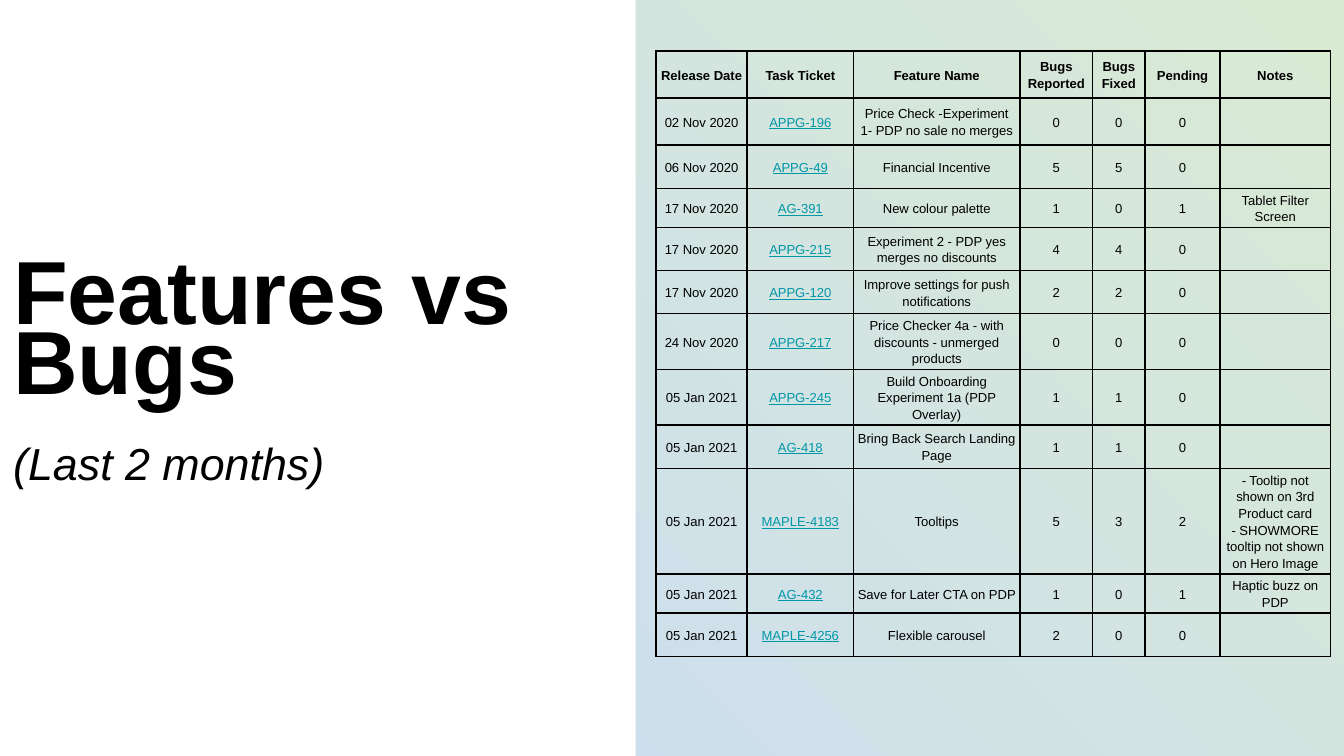
from dataclasses import dataclass

from lxml.etree import SubElement
from pptx import Presentation
from pptx.dml.color import RGBColor
from pptx.enum.shapes import MSO_SHAPE
from pptx.enum.text import MSO_ANCHOR, PP_ALIGN
from pptx.oxml import parse_xml
from pptx.oxml.ns import nsdecls, qn
from pptx.util import Inches, Pt


@dataclass(frozen=True)
class Theme:
    font: str = "Arial"
    ink: str = "000000"
    link: str = "0097A7"
    panel: str = "FFFFFF"
    glow_start: str = "D9EAD3"
    glow_end: str = "C9DAF8"
    title_size: float = 48
    subtitle_size: float = 24
    table_size: float = 7
    border_width: float = 0.94


THEME = Theme()

PAGE_WIDTH = Inches(10)
PAGE_HEIGHT = PAGE_WIDTH * 9 // 16
COLUMN_WIDTHS = [0.68, 0.79, 1.24, 0.54, 0.39, 0.56, 0.82]
ROW_HEIGHTS = [0.35, 0.35, 0.31, 0.19, 0.31, 0.31, 0.35, 0.31, 0.31, 0.58, 0.19, 0.31]
TICKET_COLUMN = 1
HEADER = ["Release Date", "Task Ticket", "Feature Name", "Bugs Reported",
          "Bugs Fixed", "Pending", "Notes"]
RELEASES = [
    ["02 Nov 2020", "APPG-196", "Price Check -Experiment 1- PDP no sale no merges", 0, 0, 0, ""],
    ["06 Nov 2020", "APPG-49", "Financial Incentive", 5, 5, 0, ""],
    ["17 Nov 2020", "AG-391", "New colour palette", 1, 0, 1, "Tablet Filter Screen"],
    ["17 Nov 2020", "APPG-215", "Experiment 2 - PDP yes merges no discounts", 4, 4, 0, ""],
    ["17 Nov 2020", "APPG-120", "Improve settings for push notifications", 2, 2, 0, ""],
    ["24 Nov 2020", "APPG-217", "Price Checker 4a - with discounts - unmerged products",
     0, 0, 0, ""],
    ["05 Jan 2021", "APPG-245", "Build Onboarding Experiment 1a (PDP Overlay)", 1, 1, 0, ""],
    ["05 Jan 2021", "AG-418", "Bring Back Search Landing Page", 1, 1, 0, ""],
    ["05 Jan 2021", "MAPLE-4183", "Tooltips", 5, 3, 2,
     "- Tooltip not shown on 3rd Product card\n- SHOWMORE tooltip not shown on Hero Image"],
    ["05 Jan 2021", "AG-432", "Save for Later CTA on PDP", 1, 0, 1, "Haptic buzz on PDP"],
    ["05 Jan 2021", "MAPLE-4256", "Flexible carousel", 2, 0, 0, ""],
]


def paint_background(page):
    """Fill the page with a radial gradient centred on the top right corner."""
    page.element.cSld.insert(0, parse_xml(
        f'<p:bg {nsdecls("p", "a")}><p:bgPr><a:gradFill rotWithShape="1"><a:gsLst>'
        f'<a:gs pos="0"><a:srgbClr val="{THEME.glow_start}"/></a:gs>'
        f'<a:gs pos="100000"><a:srgbClr val="{THEME.glow_end}"/></a:gs></a:gsLst>'
        '<a:path path="circle"><a:fillToRect l="100000" b="100000"/></a:path>'
        '</a:gradFill><a:effectLst/></p:bgPr></p:bg>'))


def add_span(para, text, size, color=THEME.ink, **style):
    span = para.add_run()
    span.text = text
    span.font.name = THEME.font
    span.font.size = Pt(size)
    span.font.color.rgb = RGBColor.from_string(color)
    for name, value in style.items():
        setattr(span.font, name, value)


def add_title_panel(page):
    panel = page.shapes.add_shape(
        MSO_SHAPE.RECTANGLE, Inches(0), Inches(0), Inches(4.73), PAGE_HEIGHT)
    panel.shadow.inherit = False
    panel.fill.solid()
    panel.fill.fore_color.rgb = RGBColor.from_string(THEME.panel)
    panel.line.fill.background()
    frame = panel.text_frame
    frame.word_wrap = True
    frame.vertical_anchor = MSO_ANCHOR.MIDDLE
    frame.margin_left = frame.margin_right = Inches(0.1)
    frame.margin_top = frame.margin_bottom = Inches(0.1)

    title, subtitle = frame.paragraphs[0], frame.add_paragraph()
    for para in (title, subtitle):
        para.alignment = PP_ALIGN.LEFT
        para.line_spacing = 0.65
    subtitle.space_before = Pt(23.5)
    add_span(title, "Features vs Bugs", THEME.title_size, bold=True)
    add_span(subtitle, "(Last 2 months)", THEME.subtitle_size, italic=True)


def add_borders(cell):
    properties = cell._tc.get_or_add_tcPr()
    for position, side in enumerate(("lnL", "lnR", "lnT", "lnB")):
        line = properties.makeelement(
            qn(f"a:{side}"), {"w": str(int(Pt(THEME.border_width)))})
        fill = SubElement(line, qn("a:solidFill"))
        SubElement(fill, qn("a:srgbClr"), val=THEME.ink)
        properties.insert(position, line)


def fill_cell(cell, text, **style):
    cell.fill.background()
    cell.vertical_anchor = MSO_ANCHOR.MIDDLE
    cell.margin_left = cell.margin_right = Inches(1 / 32)
    cell.margin_top = cell.margin_bottom = Inches(1 / 48)
    add_borders(cell)
    frame = cell.text_frame
    for index, line in enumerate(text.split("\n")):
        para = frame.add_paragraph() if index else frame.paragraphs[0]
        para.alignment = PP_ALIGN.CENTER
        para.line_spacing = 1.15
        add_span(para, line, THEME.table_size, **style)


def cell_style(row, column):
    if row == 0:
        return {"bold": True}
    if column == TICKET_COLUMN:
        return {"color": THEME.link, "underline": True}
    return {}


def add_release_table(page):
    rows = [HEADER, *RELEASES]
    table = page.shapes.add_table(
        len(rows), len(HEADER), Inches(4.88), Inches(0.38),
        Inches(sum(COLUMN_WIDTHS)), Inches(sum(ROW_HEIGHTS))).table
    table.first_row = table.horz_banding = False
    for column, width in zip(table.columns, COLUMN_WIDTHS):
        column.width = Inches(width)
    for row, height in zip(table.rows, ROW_HEIGHTS):
        row.height = Inches(height)
    for row, values in enumerate(rows):
        for column, value in enumerate(values):
            fill_cell(table.cell(row, column), str(value), **cell_style(row, column))


def main():
    deck = Presentation()
    deck.slide_width, deck.slide_height = PAGE_WIDTH, PAGE_HEIGHT
    page = deck.slides.add_slide(deck.slide_layouts[6])
    paint_background(page)
    add_title_panel(page)
    add_release_table(page)
    deck.save("out.pptx")


if __name__ == "__main__":
    main()
